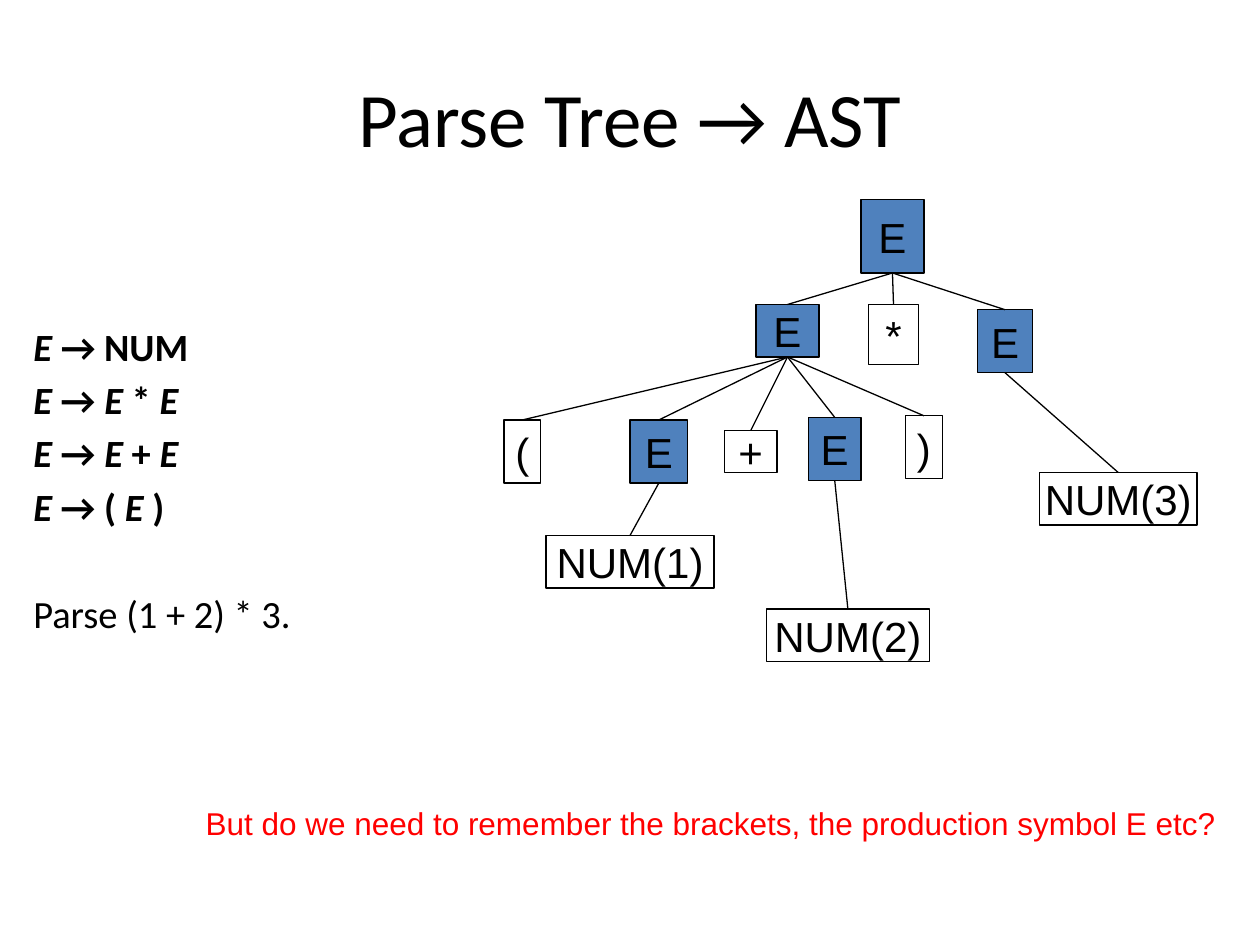
import pptx
import pptx.util
import pptx.dml.color
import pptx.enum.shapes
import pptx.enum.text
import lxml.etree

INK = {"text": "000000", "node": "4F81BD", "ask": "FF0000"}
CELL = pptx.util.Inches(1) / 12  # grid of 120 columns by 90 rows
ALIGN = pptx.enum.text.PP_ALIGN
MID = pptx.enum.text.MSO_ANCHOR.MIDDLE

# Parse tree: label, (column, row, columns wide, rows high), children
TREE = ("E", (82, 19, 6, 7), [
    ("E", (72, 29, 6, 5), [
        ("(", (48, 40, 3.5, 6), []),
        ("E", (60, 40, 5.5, 6), [("NUM(1)", (52, 51, 16, 5), [])]),
        ("+", (69, 41, 5, 4), []),
        ("E", (77, 39.75, 5, 6), [("NUM(2)", (73, 58, 15.5, 5), [])]),
        (")", (86.25, 39.6, 3.5, 6), []),
    ]),
    ("*", (82.7, 29, 4.8, 5.75), []),
    ("E", (93.1, 29.5, 5.25, 6), [("NUM(3)", (99, 45, 15, 5), [])]),
])

# Grammar rules: symbols named E are set in italics
RULES = [
    ["E ", "→ NUM"],
    ["E", " → ", "E", " * ", "E"],
    ["E", " → ", "E", " + ", "E"],
    ["E", " → ( ", "E", " )"],
]


def grid(*cells):
    return [round(n * CELL) for n in cells]


def tint(name):
    return pptx.dml.color.RGBColor.from_string(INK[name])


def add_run(para, text, size, face, ink="text", bold=False, slant=False):
    run = para.add_run()
    run.text = text
    font = run.font
    font.size = pptx.util.Pt(size)
    font.name = face
    font.bold = bold
    font.italic = slant
    font.color.rgb = tint(ink)


def add_text(slide, area, wrap=True):
    frame = slide.shapes.add_textbox(*grid(*area)).text_frame
    frame.word_wrap = wrap
    return frame


def add_node(slide, label, area):
    kind = pptx.enum.shapes.MSO_SHAPE.RECTANGLE
    box = slide.shapes.add_shape(kind, *grid(*area))
    box.shadow.inherit = False
    if label == "E":
        box.fill.solid()
        box.fill.fore_color.rgb = tint("node")
    else:
        box.fill.background()
    box.line.color.rgb = tint("text")
    box.line.width = pptx.util.Pt(0.75)
    frame = box.text_frame
    frame.word_wrap = False
    frame.vertical_anchor = MID
    para = frame.paragraphs[0]
    para.alignment = ALIGN.CENTER
    add_run(para, label, 24, "Arial")
    return box


def add_edge(slide, top, low):
    kind = pptx.enum.shapes.MSO_CONNECTOR.STRAIGHT
    edge = slide.shapes.add_connector(kind, 0, 0, 0, 0)
    edge.begin_connect(top, 2)  # bottom centre
    edge.end_connect(low, 0)  # top centre
    edge.line.color.rgb = tint("text")
    edge.line.width = pptx.util.Pt(0.75)
    props = edge._element.spPr
    lxml.etree.SubElement(props, pptx.oxml.ns.qn("a:effectLst"))


def add_tree(slide, tree):
    label, area, kids = tree
    box = add_node(slide, label, area)
    for kid in kids:
        add_edge(slide, box, add_tree(slide, kid))
    return box


def add_rules(slide):
    frame = add_text(slide, (2, 25, 51.25, 58))
    frame.margin_top = pptx.util.Inches(0.48)
    para = frame.paragraphs[0]
    for num, rule in enumerate(RULES):
        if num:
            para = frame.add_paragraph()
            para.space_before = pptx.util.Pt(4)
        for part in rule:
            slant = part.strip() == "E"
            add_run(para, part, 22, "Calibri", bold=True, slant=slant)
    # Task, set apart from the rules
    para = frame.add_paragraph()
    para.space_before = pptx.util.Pt(35)
    add_run(para, "Parse (1 + 2) * 3.", 22, "Calibri")


def main():
    deck = pptx.Presentation()
    deck.slide_width, deck.slide_height = grid(120, 90)
    slide = deck.slides.add_slide(deck.slide_layouts[6])

    # Title
    frame = add_text(slide, (6, 3.6, 108, 15))
    frame.vertical_anchor = MID
    para = frame.paragraphs[0]
    para.alignment = ALIGN.CENTER
    add_run(para, "Parse Tree → AST", 44, "Calibri")

    # Grammar on the left, tree on the right
    add_rules(slide)
    add_tree(slide, TREE)

    # Closing question
    frame = add_text(slide, (18.4, 76, 99.6, 4.8), wrap=False)
    ask = "But do we need to remember the brackets, the production symbol E etc?"
    add_run(frame.paragraphs[0], ask, 18, "Arial", "ask")

    deck.save("out.pptx")


if __name__ == "__main__":
    main()
